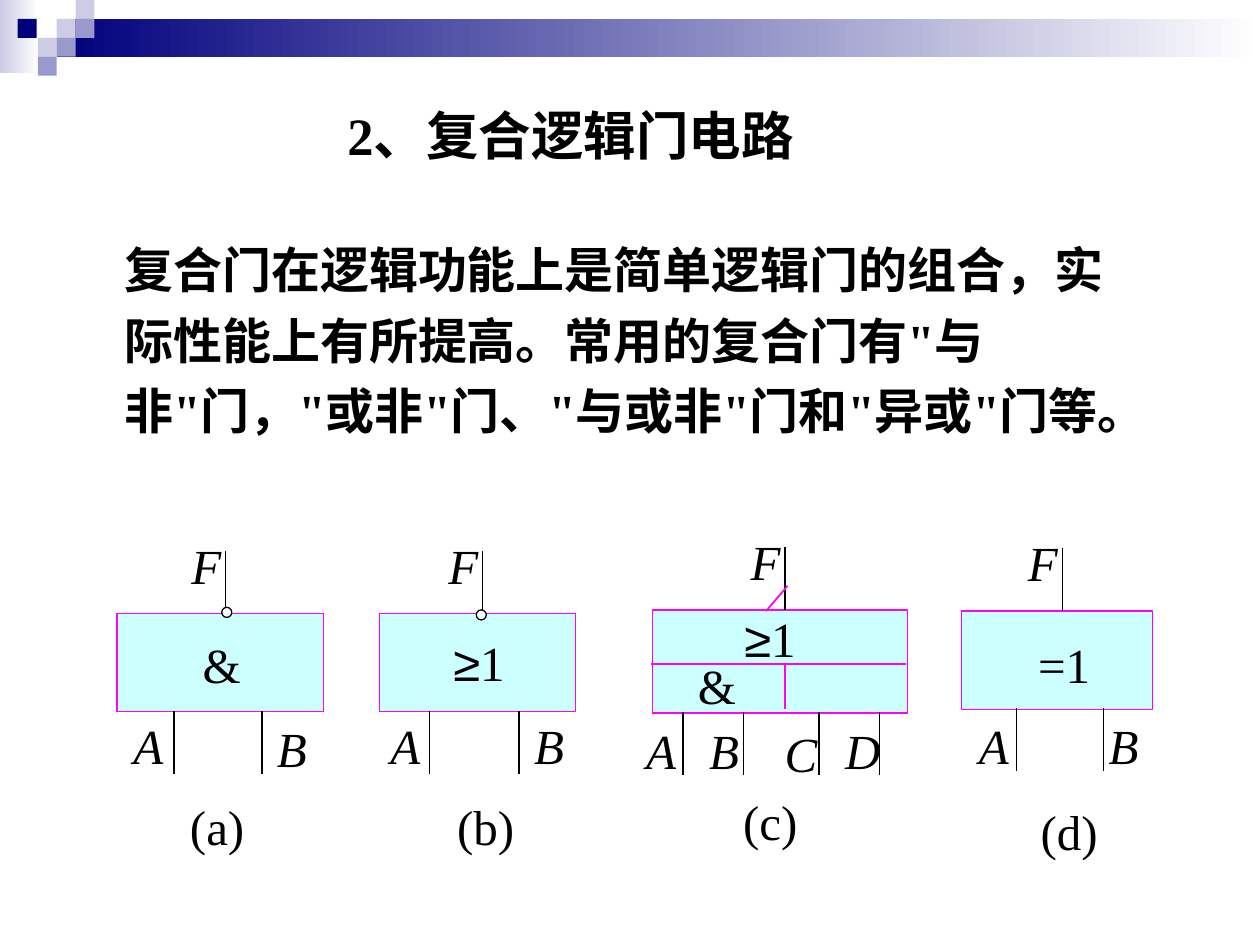
from lxml.etree import SubElement
from pptx import Presentation
from pptx.dml.color import RGBColor
from pptx.enum.shapes import MSO_CONNECTOR, MSO_SHAPE
from pptx.enum.text import MSO_AUTO_SIZE
from pptx.oxml.ns import qn
from pptx.util import Inches, Pt

INK = {"navy": "00007D", "mid": "9999CC", "pale": "CCCCE6", "white": "FFFFFF",
       "black": "000000", "cyan": "CCFFFF", "pink": "FF00FF"}
SERIF, SANS = "Times New Roman", "Arial"

TITLE = "2、复合逻辑门电路"
BODY = ('复合门在逻辑功能上是简单逻辑门的组合，实际性能上有所提高。'
        '常用的复合门有"与非"门，"或非"门、"与或非"门和"异或"门等。')

# Header bands: left, top, width, height, start colour (fading to white)
BANDS = [(0, 0, 0.31, 0.58, "pale"), (0.45, 0.15, 9.55, 0.3, "navy")]
# Header tiles: left, top, colour
TILES = [(0.45, 0.15, "pale"), (0.6, 0, "pale"), (0.6, 0.15, "mid"),
         (0.3, 0.3, "pale"), (0.14, 0.15, "navy"), (0.45, 0.3, "mid"),
         (0.3, 0.45, "mid")]
TILE, DOT, STEM, ROW = 0.15, 0.08, 0.5, 0.57

AND = [("&", SERIF)]
OR = [("≥", SANS), ("1", SERIF)]
XOR = [("=1", SERIF)]

# out: x of the output stem; base: y where the input stems start
# signs: runs, left, top, width; pins: stem x, letter, left, top, width
GATES = [
    {"box": (3.01, 4.87, 1.56, 0.78), "out": 3.83, "base": 5.64,
     "signs": [(OR, 3.5, 4.97, 0.7)], "dot": (3.78, 4.84),
     "pins": [(3.41, "A", 3, 5.63, 0.44), (4.12, "B", 4.14, 5.63, 0.44)],
     "name": ("(b)", 3.53, 6.27, 0.65)},
    {"box": (0.93, 4.87, 1.64, 0.78), "out": 1.79, "base": 5.64,
     "signs": [(AND, 1.51, 4.99, 0.5)], "dot": (1.76, 4.82),
     "pins": [(1.38, "A", 0.96, 5.63, 0.44), (2.08, "B", 2.1, 5.65, 0.44)],
     "name": ("(a)", 1.41, 6.27, 0.63)},
    {"box": (5.18, 4.84, 2.02, 0.82), "out": 6.23, "base": 5.65,
     "signs": [(OR, 5.81, 4.78, 0.7), (AND, 5.44, 5.15, 0.5)],
     "pins": [(5.42, "A", 5.03, 5.67, 0.44), (5.9, "B", 5.53, 5.67, 0.44),
              (6.5, "C", 6.13, 5.69, 0.46), (6.98, "D", 6.61, 5.67, 0.48)],
     "bars": [(5.17, 5.27, 7.19, 5.27, 0.75), (6.23, 5.27, 6.23, 5.63, 0.75),
              (6.25, 4.65, 6.08, 4.85, 1)],
     "name": ("(c)", 5.8, 6.23, 0.63)},
    {"box": (7.63, 4.85, 1.52, 0.78), "out": 8.43, "base": 5.62,
     "signs": [(XOR, 8.14, 4.99, 0.61)],
     "pins": [(8.07, "A", 7.67, 5.63, 0.44), (8.76, "B", 8.7, 5.63, 0.44)],
     "name": ("(d)", 8.16, 6.31, 0.71)},
]

deck = Presentation()
deck.slide_width, deck.slide_height = Inches(10), Inches(7.5)
slide = deck.slides.add_slide(deck.slide_layouts[6])
shapes = slide.shapes


def tint(name):
    return RGBColor.from_string(INK[name])


def block(kind, x, y, w, h, fill, edge=None, fade=False):
    """Draw a preset shape; fade runs the fill to white at the right."""
    item = shapes.add_shape(kind, Inches(x), Inches(y), Inches(w), Inches(h))
    item.shadow.inherit = False
    if fade:
        item.fill.gradient()
        item.fill.gradient_angle = 0
        for stop, name, pos in zip(item.fill.gradient_stops, (fill, "white"), (0, 1)):
            stop.color.rgb = tint(name)
            stop.position = pos
    else:
        item.fill.solid()
        item.fill.fore_color.rgb = tint(fill)
    if edge:
        item.line.color.rgb = tint(edge)
        item.line.width = Pt(0.75)
    else:
        item.line.fill.background()


def line(x1, y1, x2, y2, color="black", width=0.75):
    item = shapes.add_connector(MSO_CONNECTOR.STRAIGHT, Inches(x1), Inches(y1),
                                Inches(x2), Inches(y2))
    item.line.color.rgb = tint(color)
    item.line.width = Pt(width)
    SubElement(item._element.spPr, qn("a:effectLst"))


def text(runs, x, y, w, h=ROW, size=28, bold=False, italic=False, wrap=False, gap=None):
    """Place one paragraph made of (words, font) runs."""
    frame = shapes.add_textbox(Inches(x), Inches(y), Inches(w), Inches(h)).text_frame
    frame.word_wrap = wrap
    frame.auto_size = MSO_AUTO_SIZE.SHAPE_TO_FIT_TEXT
    para = frame.paragraphs[0]
    if gap:
        para.line_spacing = gap
    for words, face in runs:
        run = para.add_run()
        run.text = words
        font = run.font
        font.name, font.size = face, Pt(size)
        font.bold, font.italic = bold, italic
        font.color.rgb = tint("black")


def letter(word, x, y, w):
    text([(word, SERIF)], x, y, w, italic=True)


def gate(part):
    x, y, w, h = part["box"]
    out, base = part["out"], part["base"]
    block(MSO_SHAPE.RECTANGLE, x, y, w, h, "cyan", "pink")
    line(out, y, out, y - STEM)
    letter("F", out - 0.37, y - 0.67, 0.44)
    for stem, word, *spot in part["pins"]:
        line(stem, base + STEM, stem, base)
        letter(word, *spot)
    for x1, y1, x2, y2, width in part.get("bars", []):
        line(x1, y1, x2, y2, "pink", width)
    for runs, *spot in part["signs"]:
        text(runs, *spot)
    word, *spot = part["name"]
    text([(word, SERIF)], *spot)
    if "dot" in part:
        block(MSO_SHAPE.OVAL, *part["dot"], DOT, DOT, "white", "black")


for *spot, color in BANDS:
    block(MSO_SHAPE.RECTANGLE, *spot, color, fade=True)
for x, y, color in TILES:
    block(MSO_SHAPE.RECTANGLE, x, y, TILE, TILE, color)
text([(TITLE, SERIF)], 2.66, 0.77, 4.9, 0.6, size=30, bold=True, wrap=True)
text([(BODY, SERIF)], 0.89, 1.76, 8.06, 2.34, bold=True, wrap=True, gap=1.2)
for part in GATES:
    gate(part)

deck.save("out.pptx")
